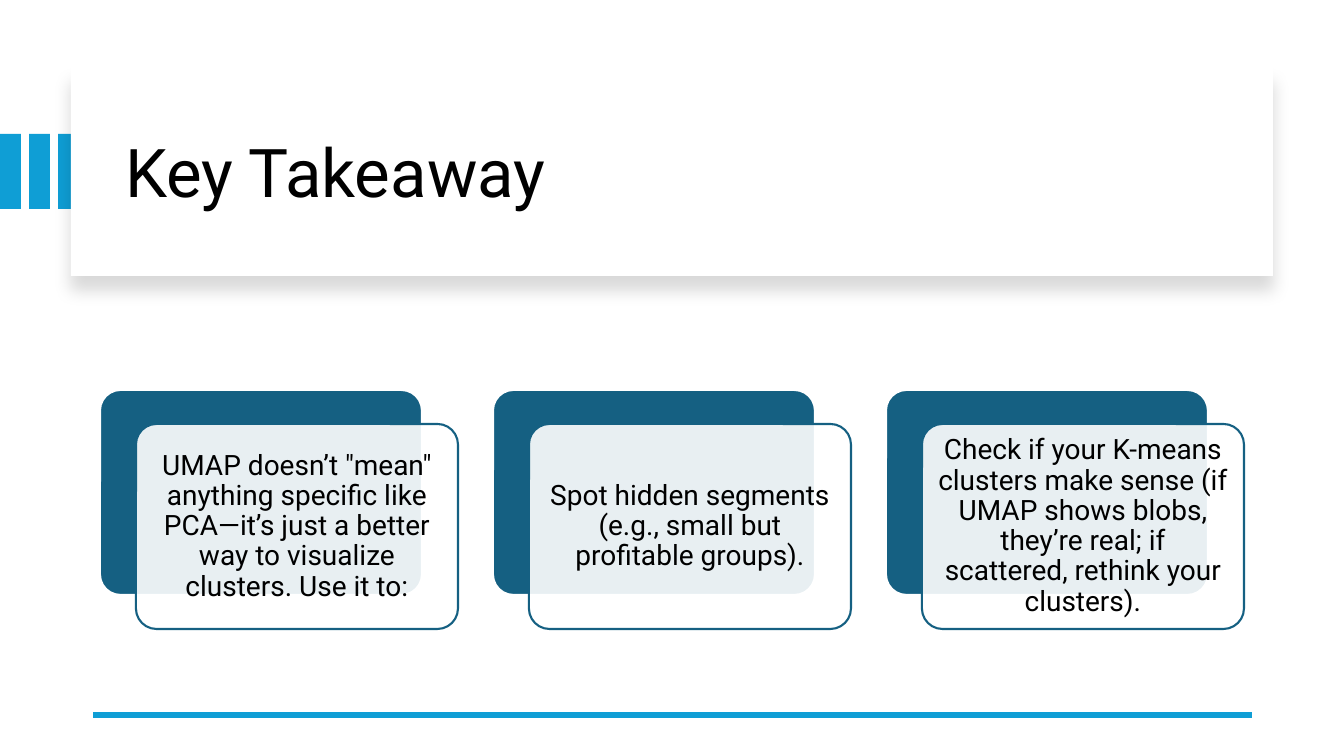
import lxml.etree
import pptx
import pptx.dml.color
import pptx.enum.shapes
import pptx.enum.text
import pptx.oxml
import pptx.oxml.ns
import pptx.util

TITLE = "Key Takeaway"
TAKEAWAYS = [
    "UMAP doesn’t \"mean\" anything specific like PCA—it’s just a better way to visualize clusters. Use it to:",
    "Spot hidden segments (e.g., small but profitable groups).",
    "Check if your K-means clusters make sense (if UMAP shows blobs, they’re real; "
    "if scattered, rethink your clusters).",
]

FONT = "Roboto"
BLACK = pptx.dml.color.RGBColor(0x00, 0x00, 0x00)
WHITE = pptx.dml.color.RGBColor(0xFF, 0xFF, 0xFF)
SKY = pptx.dml.color.RGBColor(0x0F, 0x9E, 0xD5)
TEAL = pptx.dml.color.RGBColor(0x15, 0x60, 0x82)
RECT = pptx.enum.shapes.MSO_SHAPE.RECTANGLE
ROUNDED = pptx.enum.shapes.MSO_SHAPE.ROUNDED_RECTANGLE
LEFT = pptx.enum.text.PP_ALIGN.LEFT
CENTER = pptx.enum.text.PP_ALIGN.CENTER

# Lengths in px, 100.8 to the inch
BAR_COUNT, BAR_TOP, BAR_WIDTH, BAR_HEIGHT, BAR_GAP = 3, 134, 21, 75, 8
PANEL = (71, 67, 1202, 209)
TITLE_BOX = (115, 90, 1122, 171)
RULE_LEFT, RULE_RIGHT, RULE_Y = 93, 1252, 715
CARD_LEFT, CARD_TOP, CARD_WIDTH, CARD_HEIGHT = 100, 390, 322, 205
CARD_PITCH, FRONT_DX, FRONT_DY, LABEL_INSET = 393, 36, 34, 6


def px(length):
    return pptx.util.Emu(round(length * 914400 / 100.8))


def add_box(slide, kind, box, fill, line=None):
    shape = slide.shapes.add_shape(kind, *map(px, box))
    shape.shadow.inherit = False
    shape.fill.solid()
    shape.fill.fore_color.rgb = fill
    if line is None:
        shape.line.fill.background()
    else:
        shape.line.color.rgb = line
        shape.line.width = pptx.util.Pt(1.5)
    if kind == ROUNDED:
        shape.adjustments[0] = 0.1
    return shape


def write(shape, text, size, align=LEFT, inset=None):
    frame = shape.text_frame
    frame.word_wrap = True
    frame.auto_size = pptx.enum.text.MSO_AUTO_SIZE.NONE
    frame.vertical_anchor = pptx.enum.text.MSO_ANCHOR.MIDDLE
    if inset is not None:
        frame.margin_left = frame.margin_right = px(inset)
        frame.margin_top = frame.margin_bottom = px(inset)
    paragraph = frame.paragraphs[0]
    paragraph.alignment = align
    paragraph.line_spacing = 0.9
    run = paragraph.add_run()
    run.text = text
    run.font.name = FONT
    run.font.size = pptx.util.Pt(size)
    run.font.color.rgb = BLACK


def set_opacity(shape, percent):
    color = shape.fill._xPr.find(".//" + pptx.oxml.ns.qn("a:srgbClr"))
    lxml.etree.SubElement(color, pptx.oxml.ns.qn("a:alpha"), val=str(percent * 1000))


def drop_shadow(shape):
    """Cast a soft shadow straight down."""
    effects = shape.element.spPr.find(pptx.oxml.ns.qn("a:effectLst"))
    effects.append(pptx.oxml.parse_xml(
        f'<a:outerShdw {pptx.oxml.ns.nsdecls("a")} blurRad="{pptx.util.Pt(11)}" '
        f'dist="{pptx.util.Pt(10)}" dir="5400000" algn="t" rotWithShape="0">'
        '<a:srgbClr val="000000"><a:alpha val="15000"/></a:srgbClr></a:outerShdw>'))


def add_header(slide):
    for index in range(BAR_COUNT):
        left = index * (BAR_WIDTH + BAR_GAP)
        add_box(slide, RECT, (left, BAR_TOP, BAR_WIDTH, BAR_HEIGHT), SKY)
    drop_shadow(add_box(slide, RECT, PANEL, WHITE))

    title = slide.shapes.title
    title.left, title.top, title.width, title.height = map(px, TITLE_BOX)
    write(title, TITLE, 48)
    title.element.getparent().append(title.element)  # bring above the panel


def add_rule(slide):
    rule = slide.shapes.add_connector(
        pptx.enum.shapes.MSO_CONNECTOR.STRAIGHT,
        px(RULE_RIGHT), px(RULE_Y), px(RULE_LEFT), px(RULE_Y))
    rule.line.color.rgb = SKY
    rule.line.width = pptx.util.Pt(4.5)
    lxml.etree.SubElement(rule.element.spPr, pptx.oxml.ns.qn("a:effectLst"))


def add_card(slide, left, takeaway):
    add_box(slide, ROUNDED, (left, CARD_TOP, CARD_WIDTH, CARD_HEIGHT), TEAL, WHITE)
    front_left, front_top = left + FRONT_DX, CARD_TOP + FRONT_DY
    front = add_box(slide, ROUNDED, (front_left, front_top, CARD_WIDTH, CARD_HEIGHT), WHITE, TEAL)
    set_opacity(front, 90)
    label = slide.shapes.add_textbox(
        px(front_left + LABEL_INSET), px(front_top + LABEL_INSET),
        px(CARD_WIDTH - 2 * LABEL_INSET), px(CARD_HEIGHT - 2 * LABEL_INSET))
    write(label, takeaway, 20, align=CENTER, inset=8)


def main():
    deck = pptx.Presentation()
    deck.slide_width, deck.slide_height = px(1344), px(756)
    slide = deck.slides.add_slide(deck.slide_layouts[5])
    add_header(slide)
    add_rule(slide)
    for index, takeaway in enumerate(TAKEAWAYS):
        add_card(slide, CARD_LEFT + index * CARD_PITCH, takeaway)
    deck.save("out.pptx")


if __name__ == "__main__":
    main()
